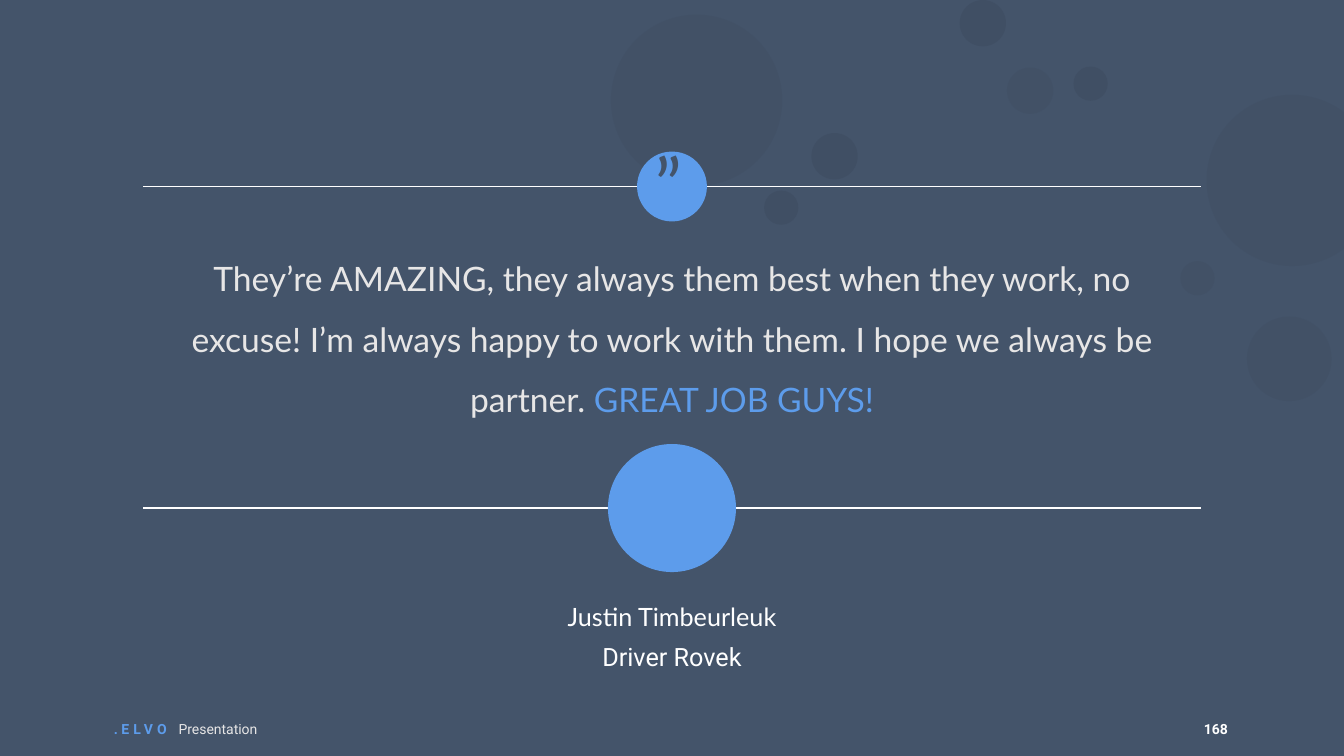
from dataclasses import dataclass

from lxml.etree import SubElement
from pptx import Presentation
from pptx.dml.color import RGBColor
from pptx.enum.shapes import MSO_CONNECTOR, MSO_SHAPE
from pptx.enum.text import MSO_ANCHOR, PP_ALIGN
from pptx.oxml.ns import qn
from pptx.util import Inches, Pt

WIDTH, HEIGHT = Inches(13.333), Inches(7.5)


@dataclass(frozen=True)
class Theme:
    background: str = "44546A"
    bubble: str = "3A475A"
    accent: str = "5D9CEB"
    light: str = "E7E6E6"
    white: str = "FFFFFF"
    heading_font: str = "Lato"
    body_font: str = "Roboto"
    footer_size: float = 10
    name_size: float = 18
    quote_size: float = 24
    mark_size: float = 53.3


@dataclass(frozen=True)
class Style:
    font: str
    size: float
    color: str
    bold: bool = False
    spacing: int = 0  # points between letters


THEME = Theme()
DARK_BUBBLE, FAINT_BUBBLE = 34, 20  # opacity in percent

# Centre x, centre y, diameter (percent of width, height, width), opacity
BUBBLES = [
    (73.13, 3.07, 3.45, DARK_BUBBLE),
    (58.13, 27.47, 2.55, DARK_BUBBLE),
    (81.15, 11.07, 2.55, DARK_BUBBLE),
    (89.1, 36.8, 2.55, FAINT_BUBBLE),
    (96.15, 23.87, 12.75, FAINT_BUBBLE),
    (76.65, 12, 3.45, FAINT_BUBBLE),
    (95.93, 47.47, 6.3, FAINT_BUBBLE),
    (51.83, 13.27, 12.75, FAINT_BUBBLE),
    (62.1, 20.67, 3.45, DARK_BUBBLE),
]
RULE_START, RULE_END = 10.65, 89.35


def across(percent):
    return round(WIDTH * percent / 100)


def down(percent):
    return round(HEIGHT * percent / 100)


def add_circle(slide, center_x, center_y, diameter, color, opacity=100):
    size = across(diameter)
    circle = slide.shapes.add_shape(
        MSO_SHAPE.OVAL, across(center_x) - size // 2,
        down(center_y) - size // 2, size, size)
    circle.shadow.inherit = False
    circle.line.fill.background()
    circle.fill.solid()
    circle.fill.fore_color.rgb = RGBColor.from_string(color)
    if opacity < 100:
        tint = circle.fill._xPr.find(qn("a:solidFill"))[0]
        SubElement(tint, qn("a:alpha")).set("val", str(opacity * 1000))


def add_rule(slide, y):
    rule = slide.shapes.add_connector(
        MSO_CONNECTOR.STRAIGHT, across(RULE_START), down(y),
        across(RULE_END), down(y))
    rule.line.color.rgb = RGBColor.from_string(THEME.white)
    rule.line.width = Pt(1)
    SubElement(rule._element.spPr, qn("a:effectLst"))


def add_text(slide, box, runs, align=PP_ALIGN.CENTER, anchor=MSO_ANCHOR.TOP,
             insets=(0.1, 0.05), line_spacing=None):
    """Add one paragraph of (words, Style) runs; box is in percent."""
    left, top, width, height = box
    label = slide.shapes.add_textbox(
        across(left), down(top), across(width), down(height))
    frame = label.text_frame
    frame.word_wrap = True
    frame.vertical_anchor = anchor
    frame.margin_left = frame.margin_right = Inches(insets[0])
    frame.margin_top = frame.margin_bottom = Inches(insets[1])
    paragraph = frame.paragraphs[0]
    paragraph.alignment = align
    if line_spacing:
        paragraph.line_spacing = line_spacing
    for words, style in runs:
        run = paragraph.add_run()
        run.text = words
        run.font.name = style.font
        run.font.size = Pt(style.size)
        run.font.bold = style.bold
        run.font.color.rgb = RGBColor.from_string(style.color)
        if style.spacing:
            run.font._element.set("spc", str(style.spacing * 100))
    return label


def add_footer(slide):
    font, size = THEME.body_font, THEME.footer_size
    brand = [
        (". ", Style(font, size, THEME.accent, bold=True)),
        ("ELVO ", Style(font, size, THEME.accent, bold=True, spacing=3)),
        ("Presentation", Style(font, size, THEME.light)),
    ]
    number = [("168", Style(font, size, THEME.white, bold=True))]
    for left, width, runs, align in (
            (8.1, 16.2, brand, PP_ALIGN.LEFT),
            (87.83, 3.9, number, PP_ALIGN.RIGHT)):
        add_text(slide, (left, 93.73, width, 5.33), runs, align,
                 MSO_ANCHOR.MIDDLE, insets=(0.05, 0.03))


def add_quote(slide):
    font = THEME.heading_font
    add_rule(slide, 24.67)
    add_circle(slide, 50, 24.67, 5.2, THEME.accent)
    mark = add_text(
        slide, (48.6, 27.07, 2.7, 5.07),
        [("“", Style(font, THEME.mark_size, THEME.background))],
        insets=(0.07, 0.03), line_spacing=1.5)
    mark.rotation = 180
    add_text(slide, (13.5, 30.8, 73, 25.6), [
        ("They’re AMAZING, they always them best when they work, no excuse! "
         "I’m always happy to work with them. I hope we always be partner. ",
         Style(font, THEME.quote_size, THEME.light)),
        ("GREAT JOB GUYS!", Style(font, THEME.quote_size, THEME.accent)),
    ], line_spacing=1.5)


def add_speaker(slide):
    add_rule(slide, 67.2)
    add_circle(slide, 50, 67.2, 9.53, THEME.accent)
    for top, words, font in (
            (78.93, "Justin Timbeurleuk", THEME.heading_font),
            (84.13, "Driver Rovek", THEME.body_font)):
        add_text(slide, (39.25, top, 21.5, 5.33),
                 [(words, Style(font, THEME.name_size, THEME.white))])


def main():
    deck = Presentation()
    deck.slide_width, deck.slide_height = WIDTH, HEIGHT
    slide = deck.slides.add_slide(deck.slide_layouts[6])
    slide.background.fill.solid()
    slide.background.fill.fore_color.rgb = RGBColor.from_string(
        THEME.background)
    add_footer(slide)
    for center_x, center_y, diameter, opacity in BUBBLES:
        add_circle(slide, center_x, center_y, diameter, THEME.bubble, opacity)
    add_quote(slide)
    add_speaker(slide)
    deck.save("out.pptx")


if __name__ == "__main__":
    main()
